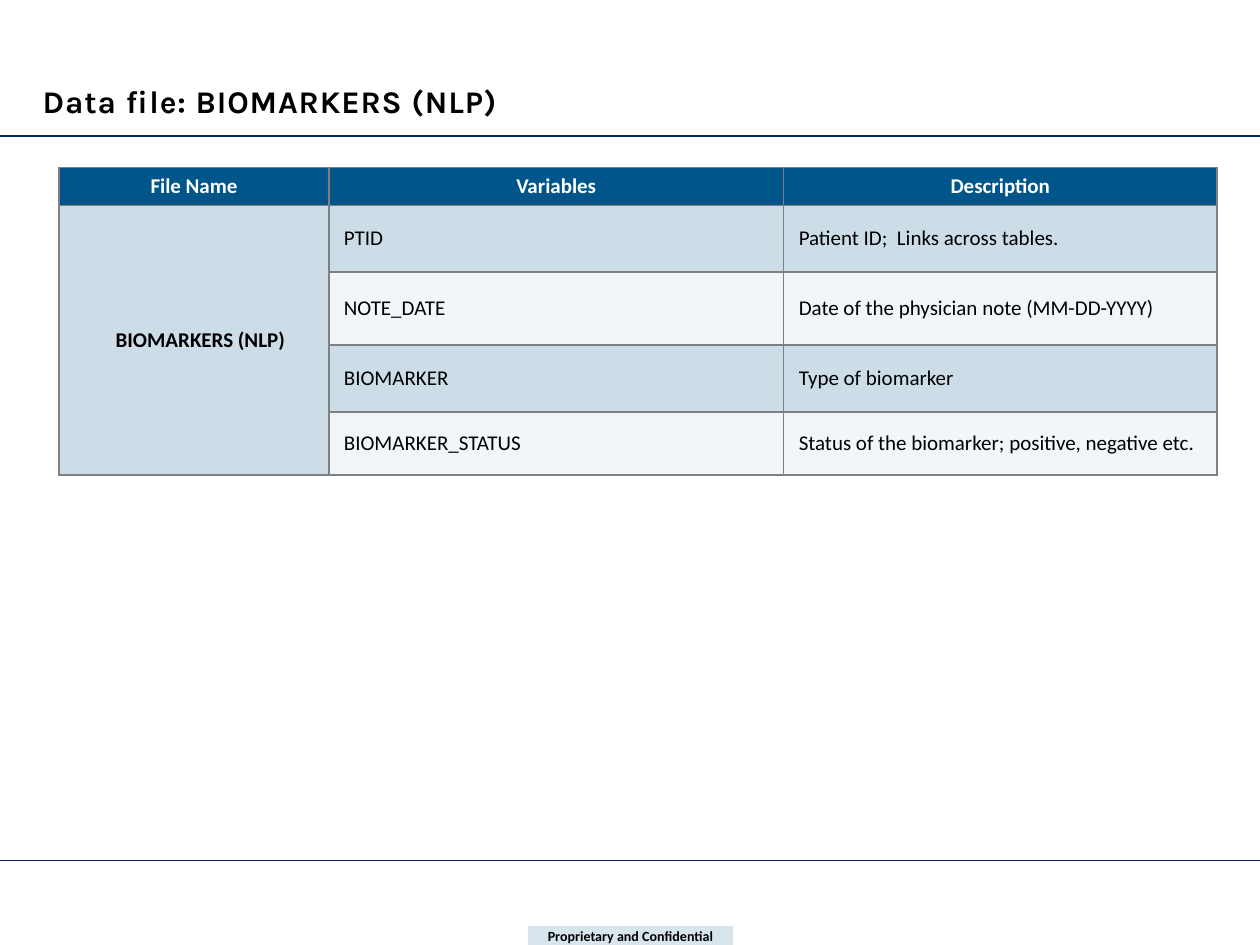
from lxml import etree
from pptx import Presentation
from pptx.dml.color import RGBColor
from pptx.enum.shapes import MSO_CONNECTOR, MSO_SHAPE
from pptx.enum.text import MSO_ANCHOR, PP_ALIGN
from pptx.oxml.ns import qn
from pptx.util import Inches, Pt

STRAIGHT = MSO_CONNECTOR.STRAIGHT
RECT = MSO_SHAPE.RECTANGLE
MIDDLE, BOTTOM = MSO_ANCHOR.MIDDLE, MSO_ANCHOR.BOTTOM
LEFT, CENTER = PP_ALIGN.LEFT, PP_ALIGN.CENTER

COLORS = {
    "black": "000000",
    "white": "FFFFFF",
    "navy": "002864",
    "blue": "00558A",
    "gray": "808080",
}
TITLE = {"name": "Karla", "size": Pt(18), "bold": True}
HEADER = {"name": "Calibri", "size": Pt(12), "bold": True}
BODY = {"name": "Calibri", "size": Pt(12), "bold": False}
FOOTER = {"name": "Calibri", "size": Pt(8), "bold": True}

COL_WIDTHS = [2.14, 3.61, 3.44]
ROW_HEIGHTS = [0.3, 0.53, 0.58, 0.53, 0.5]
ROWS = [
    ["File Name", "Variables", "Description"],
    ["BIOMARKERS (NLP)", "PTID", "Patient ID;  Links across tables."],
    ["", "NOTE_DATE", "Date of the physician note (MM-DD-YYYY)"],
    ["", "BIOMARKER", "Type of biomarker"],
    ["", "BIOMARKER_STATUS", "Status of the biomarker; positive, negative etc."],
]


class SlideBuilder:
    def __init__(self, slide):
        self.s = slide

    def color(self, name):
        return RGBColor.from_string(COLORS[name])

    def text(self, tf, text, style, color="black", align=LEFT):
        p = tf.paragraphs[0]
        p.alignment = align
        r = p.add_run()
        r.text = text
        for key, value in style.items():
            setattr(r.font, key, value)
        r.font.color.rgb = self.color(color)
        return r

    def margins(self, target, left, top, right, bottom):
        sides = {"left": left, "top": top, "right": right, "bottom": bottom}
        for side, value in sides.items():
            setattr(target, f"margin_{side}", Inches(value))

    def fill(self, target, color, opacity=100):
        target.fill.solid()
        target.fill.fore_color.rgb = self.color(color)
        if opacity < 100:
            clr = target.fill._xPr.find(qn("a:solidFill"))[0]
            etree.SubElement(clr, qn("a:alpha"), val=str(opacity * 1000))

    def rule(self, y):
        sp = self.s.shapes.add_connector(
            STRAIGHT, Inches(0), Inches(y), Inches(10), Inches(y))
        sp.line.color.rgb = self.color("navy")
        sp.line.width = Pt(0.75)
        etree.SubElement(sp._element.spPr, qn("a:effectLst"))

    def title(self, text, box):
        sp = self.s.shapes.add_textbox(*map(Inches, box))
        tf = sp.text_frame
        tf.word_wrap = True
        tf.vertical_anchor = BOTTOM
        r = self.text(tf, text, TITLE)
        r._r.get_or_add_rPr().set("spc", "50")

    def label(self, text, box):
        sp = self.s.shapes.add_shape(RECT, *map(Inches, box))
        sp.shadow.inherit = False
        self.fill(sp, "blue", 15)
        sp.line.fill.background()
        tf = sp.text_frame
        tf.word_wrap = True
        tf.vertical_anchor = MIDDLE
        self.margins(tf, 0.01, 0.01, 0.01, 0.01)
        self.text(tf, text, FOOTER, align=CENTER)

    def borders(self, cell):
        tcPr = cell._tc.get_or_add_tcPr()
        for i, side in enumerate(("lnL", "lnR", "lnT", "lnB")):
            ln = etree.Element(qn(f"a:{side}"), w=str(Pt(1)))
            solid = etree.SubElement(ln, qn("a:solidFill"))
            etree.SubElement(solid, qn("a:srgbClr"), val=COLORS["gray"])
            tcPr.insert(i, ln)

    def cell(self, cell, text, row, col):
        cell.vertical_anchor = MIDDLE
        if row == 0:
            style, color, align, inset, opacity = HEADER, "white", CENTER, 0, 100
        elif col == 0:
            style, color, align, inset, opacity = HEADER, "black", CENTER, 0.1, 20
        else:
            style, color, align, inset = BODY, "black", LEFT, 0.12
            opacity = 20 if row % 2 else 5
        self.margins(cell, inset, 0, 0, 0)
        self.fill(cell, "blue", opacity)
        self.borders(cell)
        if text:
            self.text(cell.text_frame, text, style, color, align)

    def table(self, rows, left, top):
        size = sum(COL_WIDTHS), sum(ROW_HEIGHTS)
        frame = self.s.shapes.add_table(
            len(rows), len(COL_WIDTHS), *map(Inches, (left, top, *size)))
        table = frame.table
        for column, width in zip(table.columns, COL_WIDTHS):
            column.width = Inches(width)
        for row, height in zip(table.rows, ROW_HEIGHTS):
            row.height = Inches(height)
        for i, texts in enumerate(rows):
            for j, text in enumerate(texts):
                self.cell(table.cell(i, j), text, i, j)
        table.cell(1, 0).merge(table.cell(len(rows) - 1, 0))


def main():
    prs = Presentation()
    prs.slide_width, prs.slide_height = Inches(10), Inches(7.5)
    slide = SlideBuilder(prs.slides.add_slide(prs.slide_layouts[6]))
    for y in (6.83, 1.08):
        slide.rule(y)
    slide.label("Proprietary and Confidential", (4.19, 7.35, 1.63, 0.15))
    slide.title("Data file: BIOMARKERS (NLP)", (0.24, 0.6, 9.5, 0.4))
    slide.table(ROWS, 0.47, 1.33)
    prs.save("out.pptx")


if __name__ == "__main__":
    main()
